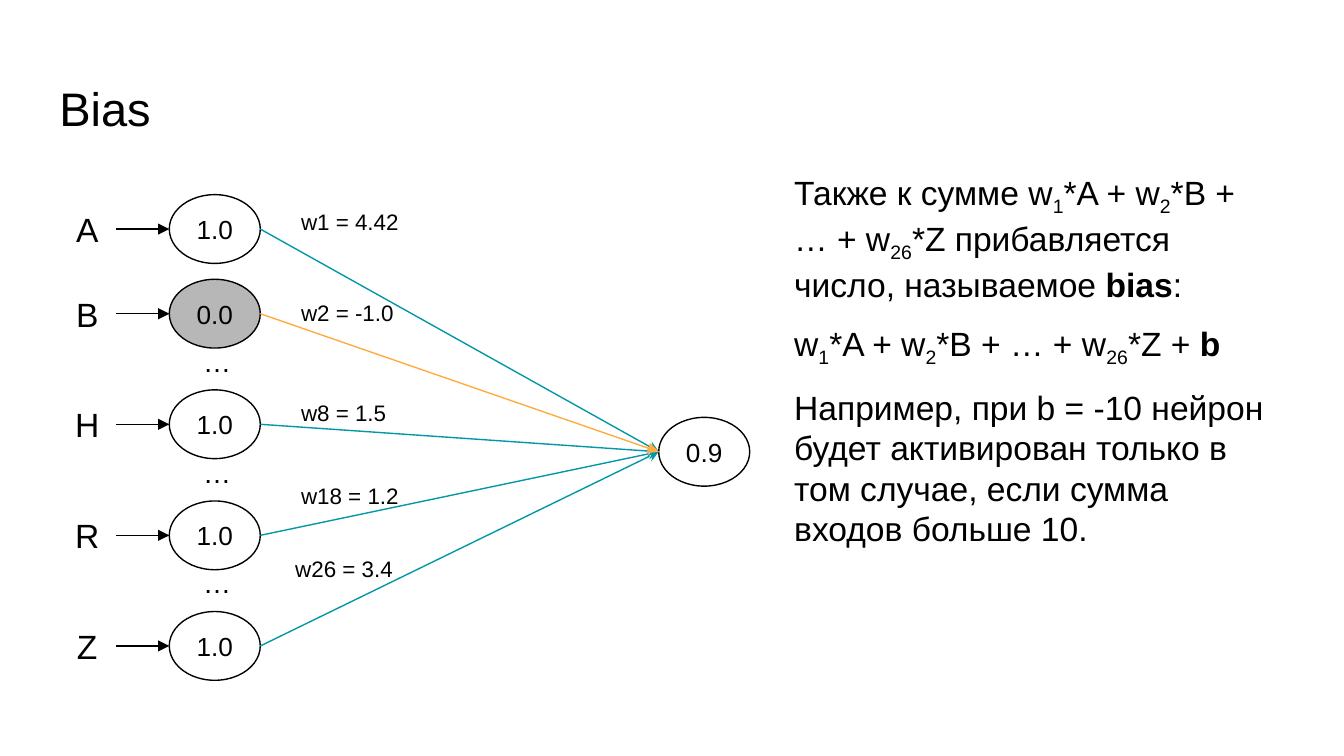
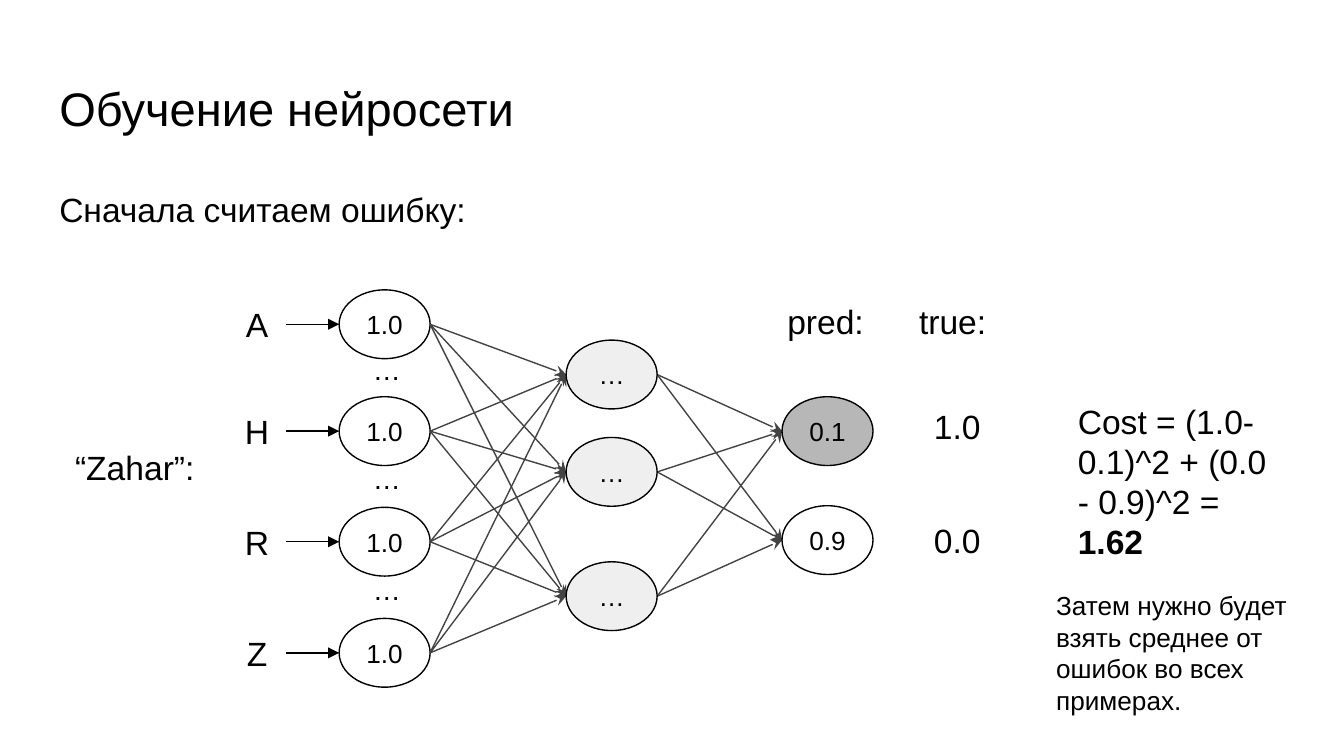
from itertools import product

from pptx import Presentation
from pptx.dml.color import RGBColor
from pptx.enum.shapes import MSO_CONNECTOR, MSO_SHAPE
from pptx.enum.text import MSO_ANCHOR, MSO_AUTO_SIZE, PP_ALIGN
from pptx.oxml.ns import qn
from pptx.util import Cm, Pt
from lxml.etree import SubElement

# Shared style
FONT = "Arial"
BLACK = RGBColor(0x00, 0x00, 0x00)
WHITE = RGBColor(0xFF, 0xFF, 0xFF)
GRAY = RGBColor(0xB7, 0xB7, 0xB7)
LIGHT = RGBColor(0xEF, 0xEF, 0xEF)
DARK = RGBColor(0x43, 0x43, 0x43)
TEAL = RGBColor(0x00, 0x97, 0xA7)
ORANGE = RGBColor(0xFF, 0xAB, 0x40)

# Lengths in centimetres
INSET = 0.25
NODE_W, NODE_H = 1.72, 1.3
LETTER_W, LETTER_H = 1.1, 1.06
DOTS_W, DOTS_RISE = 0.94, 0.15
ARROW_LEN = 1.0
TITLE_BOX = (0.87, 1.25, 23.67, 1.6)
BODY_BOX = (0.87, 3.2, 23.67, 1.6)

# Content of "Bias": letter, value, fill, centre y
BIAS_INPUTS = [
    ("A", "1.0", WHITE, 4.33),
    ("B", "0.0", GRAY, 5.93),
    ("H", "1.0", WHITE, 8.02),
    ("R", "1.0", WHITE, 10.12),
    ("Z", "1.0", WHITE, 12.21),
]
BIAS_DOTS_AFTER = "BHR"
# Label, left, top
WEIGHTS = [
    ("w1 = 4.42", 5.44, 3.68),
    ("w2 = -1.0", 5.44, 5.41),
    ("w8 = 1.5", 5.44, 7.29),
    ("w18 = 1.2", 5.44, 8.86),
    ("w26 = 3.4", 5.33, 10.24),
]
SUM = [("w", ""), ("1", "sub"), ("*A + w", ""), ("2", "sub"),
       ("*B + … + w", ""), ("26", "sub")]
# Runs, space before, space after
BIAS_NOTES = [
    ([("Также к сумме ", ""), *SUM, ("*Z прибавляется число, называемое ", ""),
      ("bias", "bold"), (":", "")], 0, 0),
    ([*SUM, ("*Z + ", ""), ("b", "bold")], 10, 0),
    ([("Например, при b = -10 нейрон будет активирован только в том случае, "
       "если сумма входов больше 10.", "")], 10, 10),
]

# Content of "Обучение нейросети"
TRAIN_INPUTS = [
    ("A", "1.0", WHITE, 6.13),
    ("H", "1.0", WHITE, 8.15),
    ("R", "1.0", WHITE, 10.24),
    ("Z", "1.0", WHITE, 12.34),
]
TRAIN_DOTS_AFTER = "AHR"
HIDDEN_X, HIDDEN_YS = 11.56, (7.08, 8.92, 11.27)
OUTPUT_X = 15.64
OUTPUTS = [("0.1", GRAY, 8.15), ("0.9", WHITE, 10.21)]
# Runs, box, size, anchor
TRAIN_TEXTS = [
    ([("“Zahar”:", "")], (1.17, 8.2, 2.87, 1.27), 18, MSO_ANCHOR.TOP),
    ([("pred:", "")], (14.63, 5.44, 2.06, 1.3), 18, MSO_ANCHOR.TOP),
    ([("true:", "")], (17.12, 5.44, 2.06, 1.3), 18, MSO_ANCHOR.TOP),
    ([("1.0", "")], (17.4, 7.57, 1.5, 0.97), 18, MSO_ANCHOR.MIDDLE),
    ([("0.0", "")], (17.4, 9.73, 1.5, 0.97), 18, MSO_ANCHOR.MIDDLE),
    ([("Cost = (1.0-0.1)^2 + (0.0 - 0.9)^2 = ", ""), ("1.62", "bold")],
     (20.12, 7.32, 4.32, 4.29), 18, MSO_ANCHOR.TOP),
    ([("Затем нужно будет взять среднее от ошибок во всех примерах.", "")],
     (19.71, 10.9, 5.49, 1.98), 14, MSO_ANCHOR.TOP),
]


def write(sp, paragraphs, size, align=PP_ALIGN.LEFT, anchor=MSO_ANCHOR.TOP):
    """Fill a shape with paragraphs of (runs, space before, space after)."""
    tf = sp.text_frame
    tf.word_wrap = True
    tf.auto_size = MSO_AUTO_SIZE.NONE
    tf.vertical_anchor = anchor
    tf.margin_left = tf.margin_right = Cm(INSET)
    tf.margin_top = tf.margin_bottom = Cm(INSET)
    for i, (runs, before, after) in enumerate(paragraphs):
        p = tf.add_paragraph() if i else tf.paragraphs[0]
        p.alignment = align
        p.space_before, p.space_after = Pt(before), Pt(after)
        for text, style in runs:
            r = p.add_run()
            r.text = text
            r.font.name, r.font.size = FONT, Pt(size)
            r.font.color.rgb = BLACK
            r.font.bold = style == "bold"
            if style == "sub":
                r.font._element.set("baseline", "-25000")


def place(sp, box):
    sp.left, sp.top, sp.width, sp.height = map(Cm, box)


def add_slide(prs, layout, title):
    s = prs.slides.add_slide(prs.slide_layouts[layout])
    place(s.shapes.title, TITLE_BOX)
    write(s.shapes.title, [([(title, "")], 0, 0)], 25.2)
    return s


def add_text(s, box, paragraphs, size, **layout):
    sp = s.shapes.add_textbox(*map(Cm, box))
    write(sp, paragraphs, size, **layout)


def add_label(s, x, y, w, text, size):
    """Text centred on the point (x, y)."""
    add_text(s, (x - w / 2, y - LETTER_H / 2, w, LETTER_H),
             [([(text, "")], 0, 0)], size,
             align=PP_ALIGN.CENTER, anchor=MSO_ANCHOR.MIDDLE)


def add_node(s, x, y, text, fill):
    sp = s.shapes.add_shape(MSO_SHAPE.OVAL, Cm(x - NODE_W / 2),
                            Cm(y - NODE_H / 2), Cm(NODE_W), Cm(NODE_H))
    sp.shadow.inherit = False
    sp.fill.solid()
    sp.fill.fore_color.rgb = fill
    sp.line.color.rgb = BLACK
    sp.line.width = Pt(0.75)
    write(sp, [([(text, "")], 0, 0)], 14, PP_ALIGN.CENTER, MSO_ANCHOR.MIDDLE)


def add_arrow(s, x1, y1, x2, y2, color, head):
    c = s.shapes.add_connector(MSO_CONNECTOR.STRAIGHT,
                               Cm(x1), Cm(y1), Cm(x2), Cm(y2))
    c.line.color.rgb = color
    c.line.width = Pt(0.75)
    SubElement(c.line._get_or_add_ln(), qn("a:tailEnd"), type=head)
    SubElement(c._element.spPr, qn("a:effectLst"))


def link(s, x1, y1, x2, y2, color, head="stealth"):
    """Arrow from the right of one node to the left of another."""
    add_arrow(s, x1 + NODE_W / 2, y1, x2 - NODE_W / 2, y2, color, head)


def add_inputs(s, x, inputs, dots_after):
    """Input column: letter, arrow, node, and dots in the gaps."""
    edge = x - NODE_W / 2
    for letter, value, fill, y in inputs:
        add_label(s, edge - ARROW_LEN - LETTER_W / 2, y, LETTER_W, letter, 18)
        add_arrow(s, edge - ARROW_LEN, y, edge, y, BLACK, "triangle")
        add_node(s, x, y, value, fill)
    for (letter, _, _, y), (_, _, _, below) in zip(inputs, inputs[1:]):
        if letter in dots_after:
            add_label(s, x, (y + below) / 2 - DOTS_RISE, DOTS_W, "…", 15)


def build_bias(prs):
    s = add_slide(prs, 5, "Bias")
    in_x, out_x, out_y = 4.06, 13.31, 8.54
    add_inputs(s, in_x, BIAS_INPUTS, BIAS_DOTS_AFTER)
    add_node(s, out_x, out_y, "0.9", WHITE)

    # Weighted links, the negative one on top
    links = [("-" in label, y)
             for (label, _, _), (_, _, _, y) in zip(WEIGHTS, BIAS_INPUTS)]
    for negative, y in sorted(links):
        color, head = (ORANGE, "triangle") if negative else (TEAL, "stealth")
        link(s, in_x, y, out_x, out_y, color, head)
    for label, left, top in WEIGHTS:
        add_text(s, (left, top, 2.49, 0.74), [([(label, "")], 0, 0)], 12)

    # Explanation
    add_text(s, (14.76, 3.0, 9.63, 10.41), BIAS_NOTES, 18)


def build_training(prs):
    s = add_slide(prs, 1, "Обучение нейросети")
    body = s.placeholders[1]
    place(body, BODY_BOX)
    write(body, [([("Сначала считаем ошибку:", "")], 0, 12)], 18)
    p = body.text_frame.paragraphs[0]
    p.line_spacing = 1.15
    pPr = p._p.get_or_add_pPr()
    pPr.set("marL", "0")
    pPr.set("indent", "0")
    SubElement(pPr, qn("a:buNone"))

    # Network layers
    in_x = 7.27
    add_inputs(s, in_x, TRAIN_INPUTS, TRAIN_DOTS_AFTER)
    in_ys = [y for _, _, _, y in TRAIN_INPUTS]
    out_ys = [y for _, _, y in OUTPUTS]
    for y1, y2 in product(in_ys, HIDDEN_YS):
        link(s, in_x, y1, HIDDEN_X, y2, DARK)
    for y1, y2 in product(HIDDEN_YS, out_ys):
        link(s, HIDDEN_X, y1, OUTPUT_X, y2, DARK)
    for y in HIDDEN_YS:
        add_node(s, HIDDEN_X, y, "…", LIGHT)
    for value, fill, y in OUTPUTS:
        add_node(s, OUTPUT_X, y, value, fill)

    # Labels and cost
    for runs, box, size, anchor in TRAIN_TEXTS:
        add_text(s, box, [(runs, 0, 0)], size, anchor=anchor)


def main():
    prs = Presentation()
    prs.slide_width, prs.slide_height = Cm(25.4), Cm(14.29)
    build_bias(prs)
    build_training(prs)
    prs.save("out.pptx")


if __name__ == "__main__":
    main()
